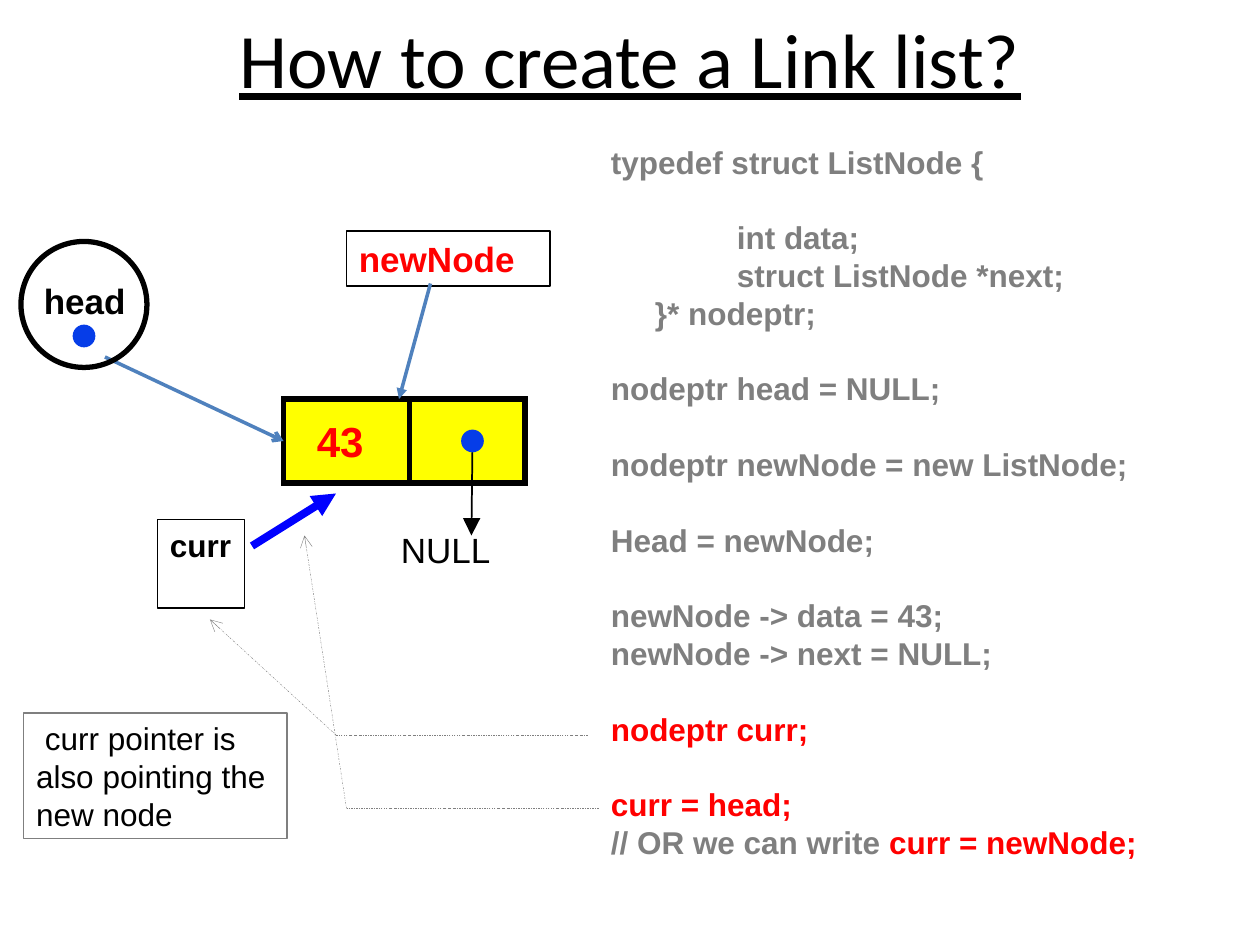
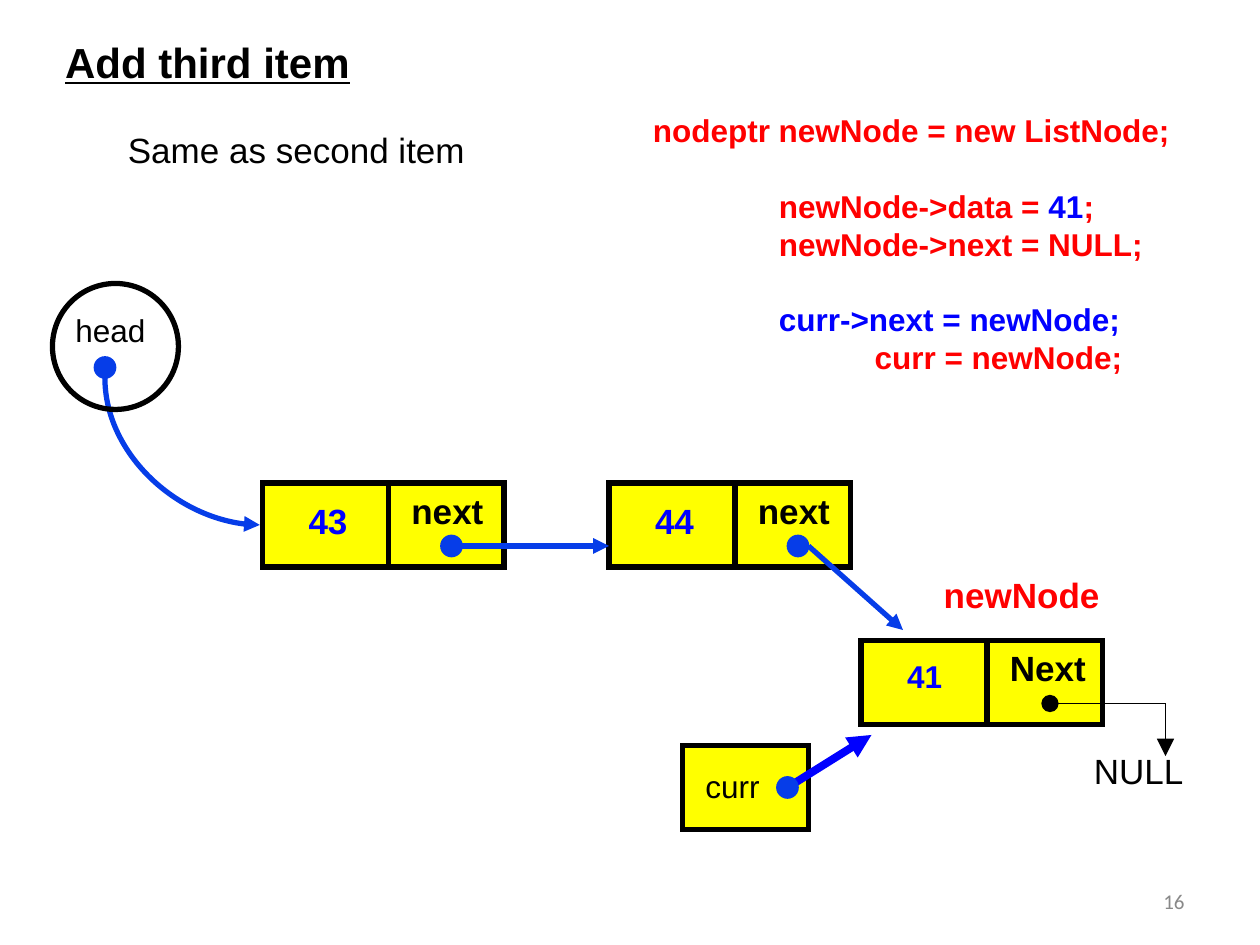
from dataclasses import dataclass
from typing import Optional

from lxml.etree import SubElement
from pptx import Presentation
from pptx.dml.color import RGBColor
from pptx.enum.dml import MSO_LINE
from pptx.enum.shapes import MSO_CONNECTOR, MSO_SHAPE
from pptx.enum.text import MSO_ANCHOR, MSO_AUTO_SIZE, PP_ALIGN
from pptx.oxml.ns import qn
from pptx.util import Inches, Length, Pt

BLACK = RGBColor(0x00, 0x00, 0x00)
RED = RGBColor(0xFF, 0x00, 0x00)
BLUE = RGBColor(0x00, 0x00, 0xFF)
POINTER_BLUE = RGBColor(0x06, 0x3D, 0xE8)
STEEL_BLUE = RGBColor(0x4F, 0x81, 0xBD)
YELLOW = RGBColor(0xFF, 0xFF, 0x00)
GRAY = RGBColor(0x7F, 0x7F, 0x7F)
NUMBER_GRAY = RGBColor(0x89, 0x89, 0x89)

# The grid has twelve cells to the inch
COLUMNS, ROWS = 120, 90
DATA_WIDTH, NEXT_WIDTH, NODE_HEIGHT = 12, 11, 8
DOT_SIZE = 2
LABEL_HEIGHT = 5.25
TITLE_ONLY_LAYOUT = 5


def cells(count: float) -> Length:
    return Inches(count / 12)


@dataclass
class Box:
    column: float
    row: float
    width: float
    height: float

    def lengths(self) -> tuple[Length, ...]:
        return tuple(map(cells, (self.column, self.row, self.width, self.height)))


@dataclass
class Style:
    size: float = 18
    color: RGBColor = BLACK
    bold: bool = False
    underline: bool = False
    font: str = "Arial"
    align: PP_ALIGN = PP_ALIGN.LEFT


@dataclass
class Line:
    """One line of text; indent in inches, gap in lines left free above."""
    text: str
    color: Optional[RGBColor] = None
    indent: float = 0
    gap: int = 0
    rest: tuple[tuple[str, RGBColor], ...] = ()


@dataclass
class Arrow:
    start: tuple[float, float]
    end: tuple[float, float]
    color: RGBColor
    weight: float
    tail: Optional[str] = "triangle"
    head: Optional[str] = None
    head_size: str = "med"
    dashed: bool = False
    curved: bool = False


@dataclass
class Node:
    column: float
    row: float
    value: str
    style: Style
    value_offset: float = 3.2
    next_label: str = ""
    dot_row: Optional[float] = 5


NAME = Style(20, BLACK, bold=True)
NEW_NODE = Style(20, RED, bold=True)
CODE_GRAY = Style(18, GRAY, bold=True)
CODE_RED = Style(18, RED, bold=True)
PLAIN = Style(18)
PLAIN_LARGE = Style(20)


# Text
def write(frame, lines: list[Line], style: Style) -> None:
    line_height = style.size * 1.2
    for index, line in enumerate(lines):
        paragraph = frame.paragraphs[0] if index == 0 else frame.add_paragraph()
        paragraph.alignment = style.align
        paragraph.line_spacing = Pt(line_height)
        paragraph.space_before = Pt(line.gap * line_height)
        if line.indent:
            paragraph._p.get_or_add_pPr().set("marL", str(Inches(line.indent)))
        font = paragraph.font
        font.name, font.size = style.font, Pt(style.size)
        font.bold, font.underline = style.bold, style.underline
        color = line.color or style.color
        font.color.rgb = color
        for text, run_color in ((line.text, color), *line.rest):
            run = paragraph.add_run()
            run.text = text
            if line.rest:
                run.font.color.rgb = run_color


def add_text(slide, box: Box, lines: list[Line], style: Style,
             border: Optional[RGBColor] = None):
    shape = slide.shapes.add_textbox(*box.lengths())
    shape.text_frame.word_wrap = True
    write(shape.text_frame, lines, style)
    if border is not None:
        shape.line.color.rgb = border
        shape.line.width = Pt(0.75)
    return shape


def add_label(slide, column: float, row: float, width: float, text: str,
              style: Style) -> None:
    add_text(slide, Box(column, row, width, LABEL_HEIGHT), [Line(text)], style)


def add_title(slide, box: Box, text: str, style: Style, anchor: MSO_ANCHOR) -> None:
    title = slide.shapes.title
    title.left, title.top, title.width, title.height = box.lengths()
    frame = title.text_frame
    frame.auto_size = MSO_AUTO_SIZE.NONE
    frame.vertical_anchor = anchor
    write(frame, [Line(text)], style)


# Shapes
def add_outlined(slide, kind: MSO_SHAPE, box: Box, fill: Optional[RGBColor],
                 line: RGBColor = BLACK, weight: float = 3):
    shape = slide.shapes.add_shape(kind, *box.lengths())
    shape.shadow.inherit = False
    if fill is None:
        shape.fill.background()
    else:
        shape.fill.solid()
        shape.fill.fore_color.rgb = fill
    shape.line.color.rgb = line
    shape.line.width = Pt(weight)
    SubElement(shape._element.spPr.find(qn("a:ln")), qn("a:miter"), lim="800000")
    return shape


def add_dot(slide, column: float, row: float) -> None:
    add_outlined(slide, MSO_SHAPE.OVAL, Box(column, row, DOT_SIZE, DOT_SIZE),
                 POINTER_BLUE, POINTER_BLUE, 1)


def add_head_circle(slide, column: float, row: float) -> None:
    add_outlined(slide, MSO_SHAPE.OVAL, Box(column, row, 12, 12), None)


def add_node(slide, node: Node):
    """Draw a list node and return its data cell."""
    next_column = node.column + DATA_WIDTH
    data_cell = add_outlined(slide, MSO_SHAPE.RECTANGLE,
                             Box(node.column, node.row, DATA_WIDTH, NODE_HEIGHT), YELLOW)
    add_outlined(slide, MSO_SHAPE.RECTANGLE,
                 Box(next_column, node.row, NEXT_WIDTH, NODE_HEIGHT), YELLOW)
    add_label(slide, node.column + node.value_offset, node.row + 1,
              node.style.size * 0.33, node.value, node.style)
    if node.next_label:
        add_label(slide, next_column + 1, node.row, 10, node.next_label, NAME)
    if node.dot_row is not None:
        add_dot(slide, next_column + 5, node.row + node.dot_row)
    return data_cell


def add_arrow(slide, arrow: Arrow):
    kind = MSO_CONNECTOR.CURVE if arrow.curved else MSO_CONNECTOR.STRAIGHT
    connector = slide.shapes.add_connector(kind, *map(cells, (*arrow.start, *arrow.end)))
    properties = connector._element.spPr
    if arrow.curved:
        properties.find(qn("a:prstGeom")).set("prst", "curvedConnector2")
    connector.line.color.rgb = arrow.color
    connector.line.width = Pt(arrow.weight)
    if arrow.dashed:
        connector.line.dash_style = MSO_LINE.DASH_DOT
    outline = properties.find(qn("a:ln"))
    for tag, arrowhead in (("a:headEnd", arrow.head), ("a:tailEnd", arrow.tail)):
        if arrowhead:
            SubElement(outline, qn(tag), type=arrowhead, w=arrow.head_size,
                       len=arrow.head_size)
    SubElement(properties, qn("a:effectLst"))
    return connector


def add_null(slide, column: float, row: float) -> None:
    add_label(slide, column, row, 11, "NULL", PLAIN_LARGE)


# Slide: creating the first node
def build_create_slide(presentation) -> None:
    slide = presentation.slides.add_slide(presentation.slide_layouts[TITLE_ONLY_LAYOUT])
    add_title(slide, Box(6, -2, COLUMNS - 12, 15), "How to create a Link list?",
              Style(44, underline=True, font="Calibri", align=PP_ALIGN.CENTER),
              MSO_ANCHOR.MIDDLE)

    # Head pointer, node and newNode pointer
    add_label(slide, 3, 26, 10.3, "head", NAME)
    add_dot(slide, 7, 31)
    data_cell = add_node(slide, Node(27, 38, "43", Style(24, RED, bold=True),
                                     value_offset=2, dot_row=None))
    add_text(slide, Box(33, 22, 19.4, LABEL_HEIGHT), [Line("newNode")], NEW_NODE,
             border=BLACK)
    add_arrow(slide, Arrow((41, 27), (38, 38), STEEL_BLUE, 2))
    head_arrow = add_arrow(slide, Arrow((10, 34), (27, 42), STEEL_BLUE, 2, tail="arrow"))
    head_arrow.end_connect(data_cell, 1)
    add_arrow(slide, Arrow((45, 42), (44.9, 51), BLACK, 1, head_size="lg"))
    add_dot(slide, 44, 41)
    add_null(slide, 37, 49.75)
    add_head_circle(slide, 2, 23)

    # Code
    add_text(slide, Box(57, 13, 60, 73), [
        Line("typedef struct ListNode {"),
        Line("int data;", indent=1, gap=1),
        Line("struct ListNode *next;", indent=1),
        Line("}* nodeptr;", indent=0.35),
        Line("nodeptr head = NULL;", gap=1),
        Line("nodeptr newNode = new ListNode;", gap=1),
        Line("Head = newNode;", gap=1),
        Line("newNode -> data = 43;", gap=1),
        Line("newNode -> next = NULL;"),
        Line("nodeptr curr;", RED, gap=1),
        Line("curr = head;", RED, gap=1),
        Line("// OR we can write ", rest=(("curr = newNode;", RED),)),
    ], CODE_GRAY)

    # The curr pointer and the lines tying it to the code
    add_text(slide, Box(15, 49.5, 8.3, 8.4), [Line("curr")], Style(18, bold=True),
             border=BLACK)
    add_arrow(slide, Arrow((24, 52), (32, 47), BLUE, 4.5))
    for code_end, bend, target in (((56, 70), (32, 70), (20, 59)),
                                   ((57, 77), (33, 77), (29, 51))):
        add_arrow(slide, Arrow(code_end, bend, GRAY, 0.25, tail=None, dashed=True))
        add_arrow(slide, Arrow(bend, target, GRAY, 0.25, tail="arrow", dashed=True))
    add_text(slide, Box(2.25, 67.9, 25.1, 12), [
        Line("curr pointer is", indent=0.07),
        Line("also pointing the"),
        Line("new node"),
    ], PLAIN, border=GRAY)


# Slide: adding the third node
def build_third_item_slide(presentation) -> None:
    slide = presentation.slides.add_slide(presentation.slide_layouts[TITLE_ONLY_LAYOUT])
    add_title(slide, Box(5, 2.9, 60, 7), "Add third item",
              Style(24, bold=True, underline=True), MSO_ANCHOR.TOP)
    add_label(slide, 11, 11.65, 54, "Same as second item", PLAIN_LARGE)
    add_text(slide, Box(61, 10, 57, 26.4), [
        Line("nodeptr newNode = new ListNode;"),
        Line("newNode->data = ", indent=1, gap=1, rest=(("41", BLUE), (";", RED))),
        Line("newNode->next = NULL;", indent=1),
        Line("curr->next = newNode;", BLUE, indent=1, gap=1),
        Line("curr = newNode;", indent=1.76),
    ], CODE_RED)

    # Nodes
    value_style = Style(20, BLUE, bold=True)
    for node in (Node(25, 46, "43", value_style, next_label="next"),
                 Node(58, 46, "44", value_style, next_label="next"),
                 Node(82, 61, "41", Style(18, BLUE, bold=True), next_label="Next",
                      dot_row=None)):
        add_node(slide, node)
    add_label(slide, 88.7, 54, 18, "newNode", NEW_NODE)
    add_null(slide, 103, 70.8)

    # Pointers
    add_label(slide, 6, 29, 9.5, "head", PLAIN)
    add_dot(slide, 9, 34)
    add_outlined(slide, MSO_SHAPE.RECTANGLE, Box(65, 71, DATA_WIDTH, NODE_HEIGHT), YELLOW)
    add_label(slide, 66, 72.5, 8, "curr", PLAIN)
    for arrow in (
        Arrow((24.75, 50), (10, 36), POINTER_BLUE, 3, tail=None, head="triangle",
              curved=True),
        Arrow((44, 52), (58, 52), POINTER_BLUE, 3),
        Arrow((77, 52), (86, 60), POINTER_BLUE, 3),
        Arrow((100, 67), (111, 67), BLACK, 1, tail=None, head="oval", head_size="lg"),
        Arrow((111, 67), (111, 72), BLACK, 1, head_size="lg"),
        Arrow((75, 75), (83, 70), BLUE, 4.5),
    ):
        add_arrow(slide, arrow)
    add_dot(slide, 74, 74)
    add_head_circle(slide, 5, 27)

    # Slide number
    number = add_text(slide, Box(86, 83.4, 28, 4.8), [Line("16")],
                      Style(12, NUMBER_GRAY, font="Calibri", align=PP_ALIGN.RIGHT))
    number.text_frame.vertical_anchor = MSO_ANCHOR.MIDDLE


def main() -> None:
    presentation = Presentation()
    presentation.slide_width, presentation.slide_height = cells(COLUMNS), cells(ROWS)
    build_create_slide(presentation)
    build_third_item_slide(presentation)
    presentation.save("out.pptx")


if __name__ == "__main__":
    main()
